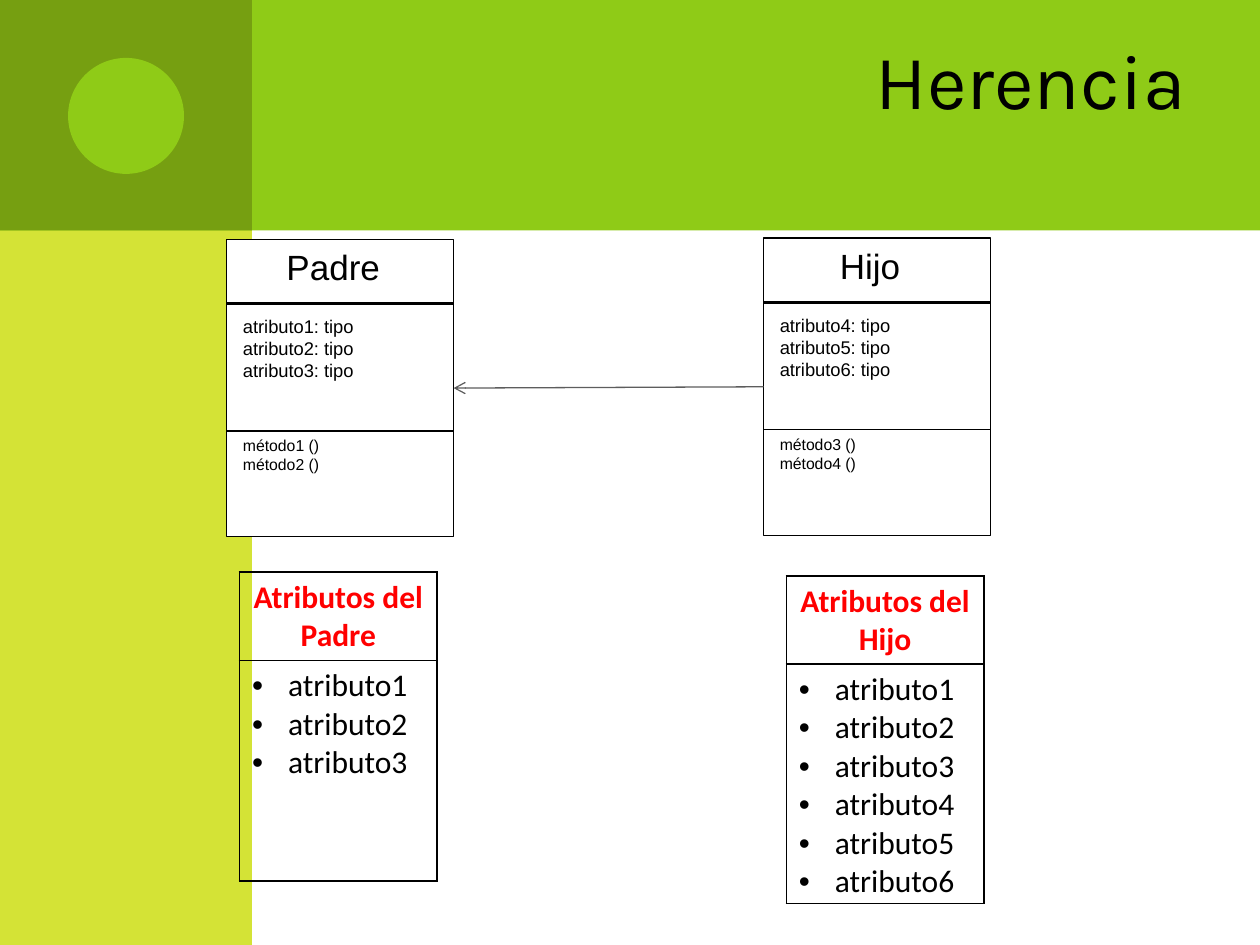
from lxml import etree
from pptx import Presentation
from pptx import util as u
from pptx.dml.color import RGBColor
from pptx.enum import shapes, text
from pptx.oxml import ns

COLORS = {"green": "8FCB17", "dark": "769F11", "lime": "D4E336", "white": "FFFFFF",
          "black": "000000", "red": "FF0000", "gray": "5D5D5D"}
COLUMNS, ROWS = 10, 7.5
BAND, SIDE = 1.83, 2


def color(name):
    return RGBColor.from_string(COLORS[name])


def write(frame, lines, size, font, ink="black", bold=False, align="LEFT", bullet_indent=None):
    for index, line in enumerate(lines):
        para = frame.paragraphs[0] if index == 0 else frame.add_paragraph()
        para.alignment = getattr(text.PP_ALIGN, align)
        span = para.add_run()
        span.text = line
        span.font.size, span.font.name, span.font.bold = u.Pt(size), font, bold
        span.font.color.rgb = color(ink)
        if bullet_indent:
            settings = para._p.get_or_add_pPr()
            settings.set("marL", str(u.Inches(bullet_indent)))
            settings.set("indent", str(-u.Inches(bullet_indent)))
            etree.SubElement(settings, ns.qn("a:buFont"), typeface="Arial")
            etree.SubElement(settings, ns.qn("a:buChar"), char="•")


class Painter:
    font = "Arial"
    table_font = "Calibri"
    title_font = "Karla"

    def __init__(self, deck):
        self.deck = deck
        self.page = deck.slides.add_slide(deck.slide_layouts[6])

    def place(self, column, row, columns, rows):
        across = self.deck.slide_width / COLUMNS
        down = self.deck.slide_height / ROWS
        return [u.Emu(round(value)) for value in
                (column * across, row * down, columns * across, rows * down)]

    def block(self, area, fill, outline=None, kind="RECTANGLE"):
        shape = self.page.shapes.add_shape(getattr(shapes.MSO_SHAPE, kind), *self.place(*area))
        shape.shadow.inherit = False
        shape.fill.solid()
        shape.fill.fore_color.rgb = color(fill)
        if outline:
            shape.line.color.rgb = color(outline)
            shape.line.width = u.Pt(0.75)
        else:
            shape.line.fill.background()
        return shape

    def label(self, area, lines, size, anchor="TOP", font=None, **style):
        box = self.page.shapes.add_textbox(*self.place(*area))
        box.text_frame.word_wrap = True
        box.text_frame.vertical_anchor = getattr(text.MSO_ANCHOR, anchor)
        write(box.text_frame, lines, size, font or self.font, **style)

    def line(self, start, end, width=0.75, ink="black"):
        connector = self.page.shapes.add_connector(
            shapes.MSO_CONNECTOR.STRAIGHT, *self.place(*start, *end))
        connector.line.color.rgb = color(ink)
        connector.line.width = u.Pt(width)
        etree.SubElement(connector._element.spPr, ns.qn("a:effectLst"))
        return connector

    def arrow(self, source, target):
        connector = self.line((0, 0), (1, 1), ink="gray")
        connector.begin_connect(source, 1)
        connector.end_connect(target, 3)
        etree.SubElement(connector.line._get_or_add_ln(), ns.qn("a:tailEnd"), type="arrow")

    def class_box(self, left, top, name, attributes, methods):
        width, height = 1.8, 2.36
        box = self.block((left, top, width, height), "white", "black")
        for offset, weight in ((0.51, 1.5), (1.52, 0.75)):
            self.line((left, top + offset), (left + width, top + offset), weight)
        self.label((left, top, 1.69, 0.53), [name], 20, align="CENTER")
        self.label((left + 0.03, top + 0.55, 1.25, 0.62), attributes, 10.5)
        self.label((left + 0.03, top + 1.51, 1.82, 0.4), methods, 9)
        return box

    def attribute_table(self, left, top, body_rows, heading, attributes):
        heights = (0.7, body_rows)
        frame = self.page.shapes.add_table(2, 1, *self.place(left, top, 1.57, sum(heights)))
        table = frame.table
        table.first_row = table.horz_banding = False
        for row, height in zip(table.rows, heights):
            row.height = self.place(0, 0, 0, height)[3]
            self.frame_cell(row.cells[0])
        write(table.cell(0, 0).text_frame, [heading], 18, self.table_font,
              ink="red", bold=True, align="CENTER")
        write(table.cell(1, 0).text_frame, [f" {name}" for name in attributes], 18,
              self.table_font, bullet_indent=0.23)

    def frame_cell(self, cell):
        settings = cell._tc.get_or_add_tcPr()
        for side in "LRTB":
            edge = etree.SubElement(settings, ns.qn(f"a:ln{side}"), w=str(u.Pt(1)))
            fill = etree.SubElement(edge, ns.qn("a:solidFill"))
            etree.SubElement(fill, ns.qn("a:srgbClr"), val=COLORS["black"])
        cell.fill.background()


def numbered(pattern, first, last):
    return [pattern.format(number) for number in range(first, last + 1)]


def main():
    deck = Presentation()
    deck.slide_width, deck.slide_height = u.Inches(10), u.Inches(7.5)
    painter = Painter(deck)

    painter.block((0, 0, SIDE, ROWS), "lime")
    painter.block((0, 0, COLUMNS, BAND), "green")
    painter.block((0, 0, SIDE, BAND), "dark")
    painter.block((0.54, 0.46, 0.92, 0.92), "green", kind="OVAL")
    painter.label((1.47, 0, 8.04, 1.25), ["Herencia"], 44, anchor="MIDDLE",
                  font=painter.title_font, align="RIGHT")

    parent = painter.class_box(1.8, 1.9, "Padre", numbered("atributo{}: tipo", 1, 3),
                               numbered("método{} ()", 1, 2))
    child = painter.class_box(6.06, 1.89, "Hijo", numbered("atributo{}: tipo", 4, 6),
                              numbered("método{} ()", 3, 4))
    painter.arrow(child, parent)

    painter.attribute_table(1.9, 4.54, 1.75, "Atributos del Padre", numbered("atributo{}", 1, 3))
    painter.attribute_table(6.24, 4.57, 1.9, "Atributos del Hijo", numbered("atributo{}", 1, 6))
    deck.save("out.pptx")


if __name__ == "__main__":
    main()
